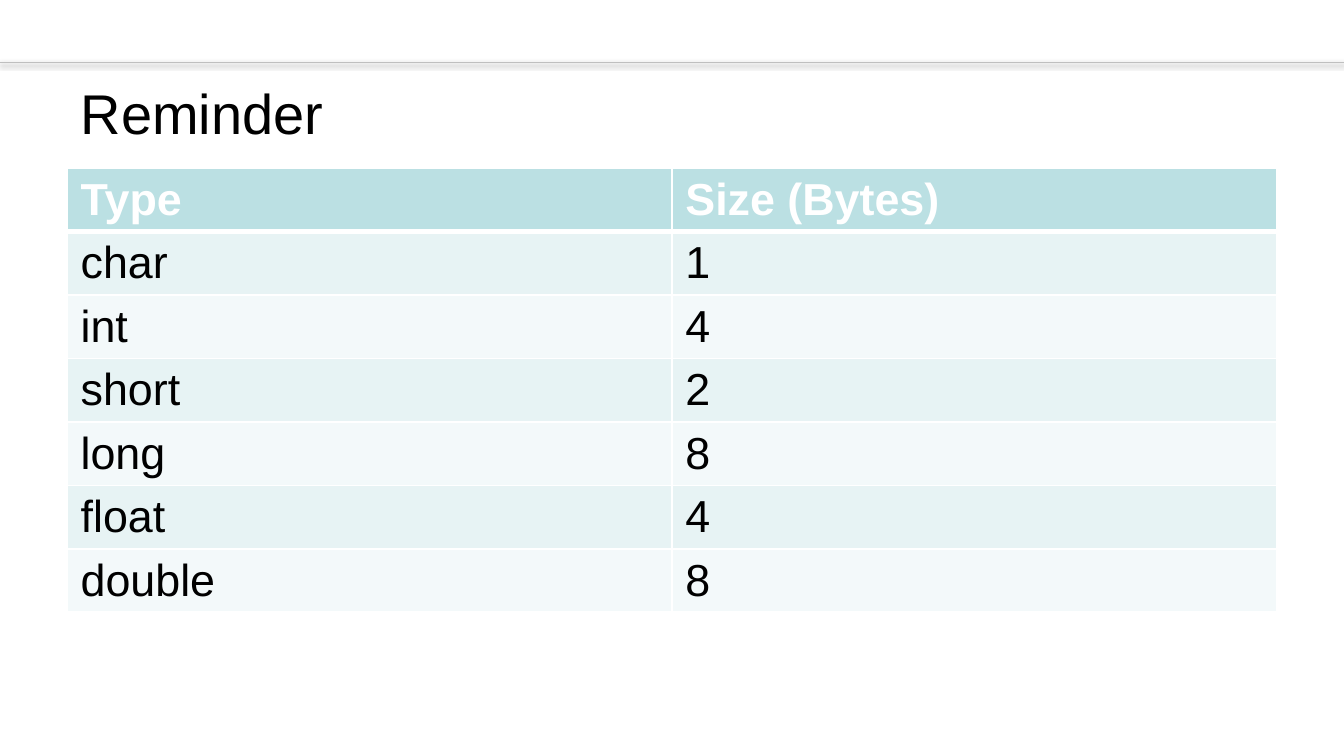
from dataclasses import dataclass

from lxml.etree import SubElement
from pptx import Presentation
from pptx.dml.color import RGBColor
from pptx.enum.shapes import MSO_CONNECTOR
from pptx.enum.text import MSO_ANCHOR, PP_ALIGN
from pptx.oxml import parse_xml
from pptx.oxml.ns import nsdecls, qn
from pptx.util import Cm, Pt

TITLE = "Reminder"
HEAD = ("Type", "Size (Bytes)")
TYPES = [
    ("char", 1),
    ("int", 4),
    ("short", 2),
    ("long", 8),
    ("float", 4),
    ("double", 8),
]


@dataclass(frozen=True)
class Theme:
    """Colours, font and type sizes."""
    font: str = "Arial"
    ink: str = "000000"
    white: str = "FFFFFF"
    head: str = "BBE0E3"
    bands: tuple = ("E7F3F4", "F3F9FA")
    rule: str = "BFBFBF"
    title: int = 30
    body: int = 24


THEME = Theme()
WIDTH, HEIGHT = Cm(25.4), Cm(14.29)
LEFT, SPAN = Cm(1.27), Cm(22.86)
RULE_TOP = Cm(1.17)
TITLE_TOP, TITLE_TALL = Cm(1.27), Cm(1.68)
TABLE_TOP, ROW_TALL = Cm(3.18), Cm(1.03)


def style(frame, size, color, bold=False):
    """Format every run in a text frame."""
    for para in frame.paragraphs:
        para.alignment = PP_ALIGN.LEFT
        for run in para.runs:
            font = run.font
            font.name, font.size, font.bold = THEME.font, Pt(size), bold
            font.color.rgb = RGBColor.from_string(color)


def add_rule(slide):
    """Draw the thin line with a soft shadow across the top."""
    rule = slide.shapes.add_connector(
        MSO_CONNECTOR.STRAIGHT, 0, RULE_TOP, WIDTH, RULE_TOP)
    rule.line.width = Pt(0.25)
    rule.line.color.rgb = RGBColor.from_string(THEME.rule)
    props = rule.element.find(qn("p:spPr"))
    glow = SubElement(props, qn("a:effectLst"))
    shade = SubElement(glow, qn("a:outerShdw"), blurRad=str(Pt(3.1)),
                       dist=str(Pt(1.6)), dir="5400000", rotWithShape="0")
    tone = SubElement(shade, qn("a:srgbClr"), val=THEME.ink)
    SubElement(tone, qn("a:alpha"), val="38000")


def add_title(slide):
    """Place and format the title."""
    title = slide.shapes.title
    title.left, title.top = LEFT, TITLE_TOP
    title.width, title.height = SPAN, TITLE_TALL
    frame = title.text_frame
    frame.text = TITLE
    frame.vertical_anchor = MSO_ANCHOR.MIDDLE
    style(frame, THEME.title, THEME.ink)


def set_edges(cell, top, low):
    """Give a cell white borders, with widths in points."""
    props = cell._tc.get_or_add_tcPr()
    edges = {"lnL": 1, "lnR": 1, "lnT": top, "lnB": low}
    for spot, (tag, wide) in enumerate(edges.items()):
        props.insert(spot, parse_xml(
            f'<a:{tag} {nsdecls("a")} w="{Pt(wide)}"><a:solidFill>'
            f'<a:srgbClr val="{THEME.white}"/></a:solidFill></a:{tag}>'))


def add_grid(slide):
    """Build the table of types and sizes."""
    rows = [HEAD] + TYPES
    table = slide.shapes.add_table(
        len(rows), len(HEAD), LEFT, TABLE_TOP, SPAN,
        ROW_TALL * len(rows)).table
    for r, row in enumerate(rows):
        table.rows[r].height = ROW_TALL
        first = r == 0
        fill = THEME.head if first else THEME.bands[(r - 1) % 2]
        color = THEME.white if first else THEME.ink
        for c, value in enumerate(row):
            cell = table.cell(r, c)
            cell.text_frame.text = str(value)
            style(cell.text_frame, THEME.body, color, first)
            cell.fill.solid()
            cell.fill.fore_color.rgb = RGBColor.from_string(fill)
            set_edges(cell, 3 if r == 1 else 1, 3 if first else 1)


def main():
    """Build and save the slide."""
    deck = Presentation()
    deck.slide_width, deck.slide_height = WIDTH, HEIGHT
    slide = deck.slides.add_slide(deck.slide_layouts.get_by_name("Title Only"))
    add_rule(slide)
    add_title(slide)
    add_grid(slide)
    deck.save("out.pptx")


main()
